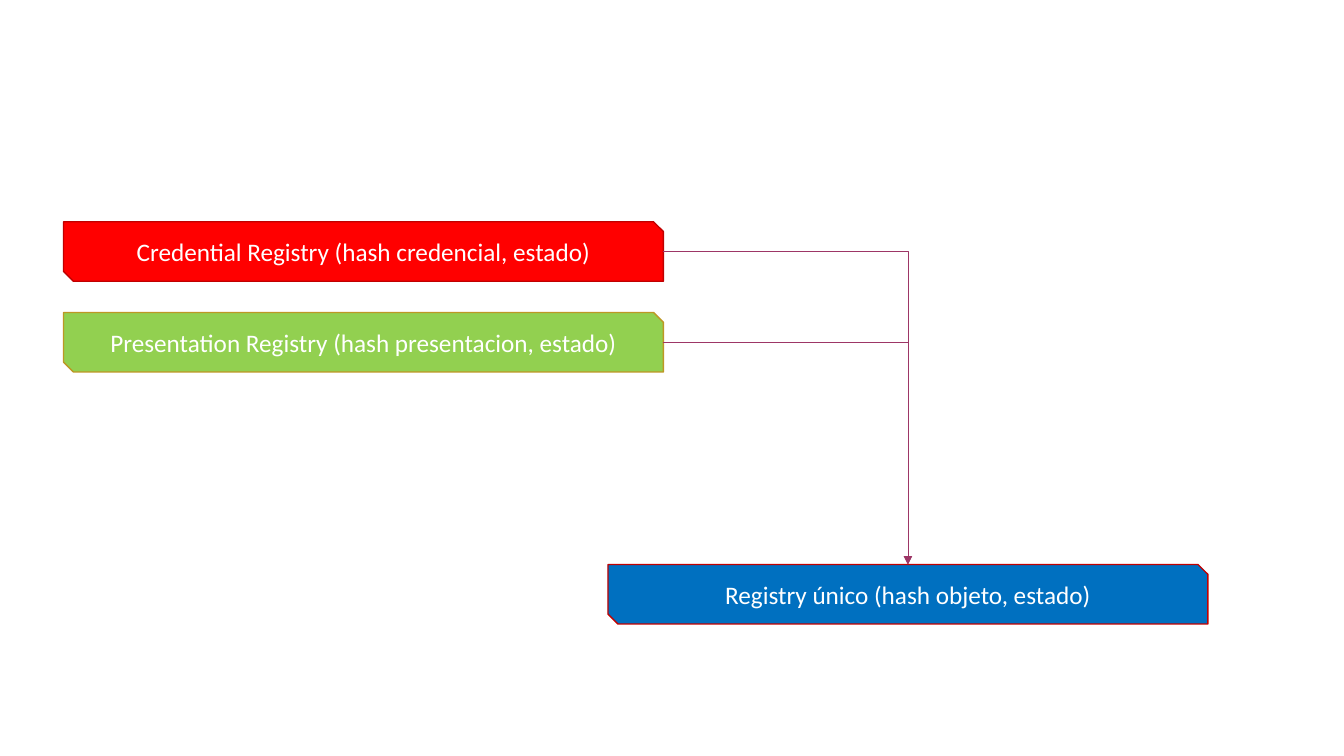
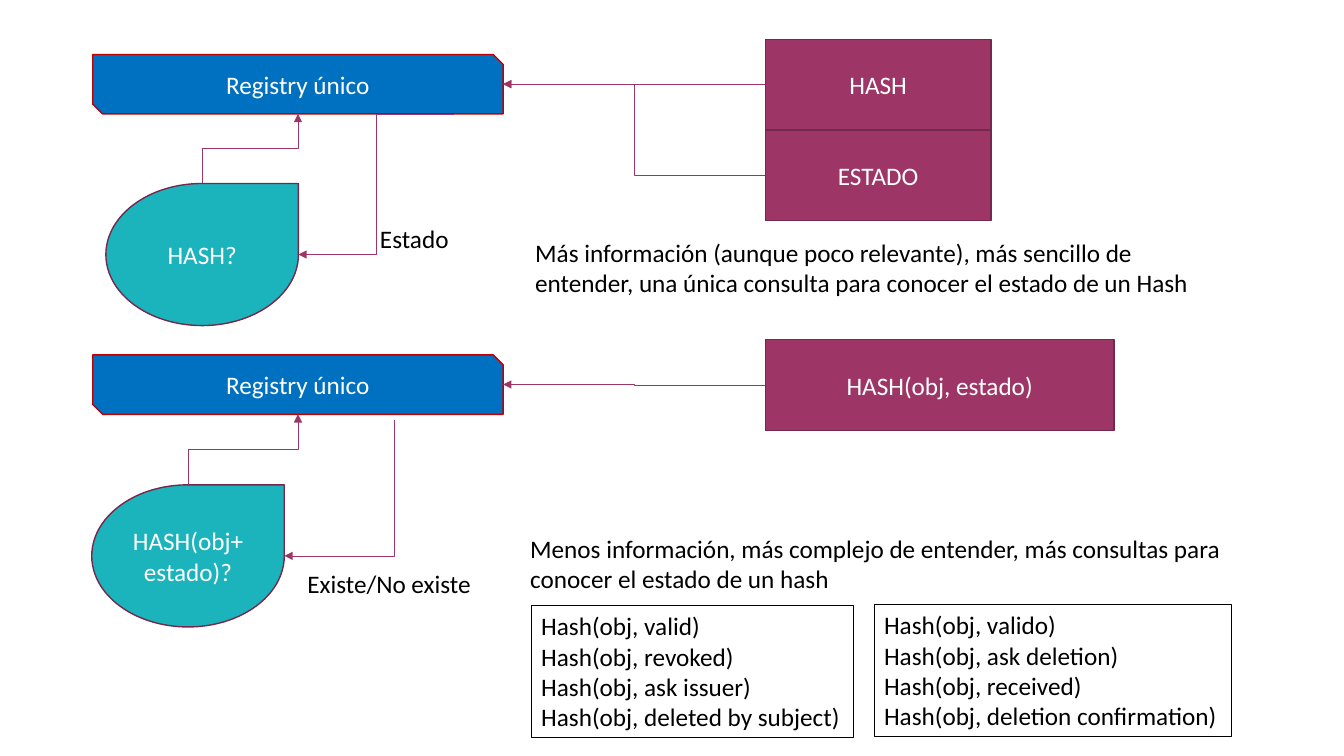
from dataclasses import dataclass

from lxml import etree
from pptx import Presentation
from pptx.dml.color import RGBColor
from pptx.enum.shapes import MSO_CONNECTOR, MSO_SHAPE
from pptx.enum.text import MSO_ANCHOR, MSO_AUTO_SIZE, PP_ALIGN
from pptx.oxml.ns import qn
from pptx.util import Inches, Pt

SNIPPED = MSO_SHAPE.SNIP_2_DIAG_RECTANGLE
RECTANGLE = MSO_SHAPE.RECTANGLE
TEARDROP = MSO_SHAPE.TEAR
ELBOW = MSO_CONNECTOR.ELBOW
CENTER = PP_ALIGN.CENTER
MIDDLE = MSO_ANCHOR.MIDDLE
FIT_SHAPE = MSO_AUTO_SIZE.SHAPE_TO_FIT_TEXT

REGISTRY_HEIGHT = 0.59
FIELD_HEIGHT = 0.9


@dataclass(frozen=True)
class Theme:
    font: str = "Calibri"
    text_size: int = 18
    shape_line: float = 1
    list_line: float = 0.75
    arrow_line: float = 0.5
    white: str = "FFFFFF"
    black: str = "000000"
    red: str = "FF0000"
    dark_red: str = "C00000"
    green: str = "92D050"
    gold: str = "BD9724"
    blue: str = "0070C0"
    plum: str = "9D3666"
    dark_plum: str = "74284B"
    teal: str = "1BB3BC"


@dataclass(frozen=True)
class Area:
    """A rectangle on the page, in inches."""
    left: float
    top: float
    width: float
    height: float

    def lengths(self):
        return [Inches(n) for n in (self.left, self.top, self.width, self.height)]

    @property
    def top_middle(self):
        return self.left + self.width / 2, self.top

    @property
    def bottom_middle(self):
        return self.left + self.width / 2, self.top + self.height

    @property
    def left_middle(self):
        return self.left, self.top + self.height / 2

    @property
    def right_middle(self):
        return self.left + self.width, self.top + self.height / 2


class Sketch:
    def __init__(self, theme):
        self.theme = theme
        self.deck = Presentation()
        self.deck.slide_width = Inches(13.33)
        self.deck.slide_height = Inches(7.5)
        self.page = None

    def new_page(self):
        blank = self.deck.slide_layouts.get_by_name("Blank")
        self.page = self.deck.slides.add_slide(blank)

    def set_text(self, frame, text, color, align=None):
        frame.text = text
        for para in frame.paragraphs:
            para.alignment = align
            for span in para.runs:
                span.font.name = self.theme.font
                span.font.size = Pt(self.theme.text_size)
                span.font.color.rgb = RGBColor.from_string(color)

    def block(self, kind, area, text, fill, line):
        shape = self.page.shapes.add_shape(kind, *area.lengths())
        shape.shadow.inherit = False
        shape.fill.solid()
        shape.fill.fore_color.rgb = RGBColor.from_string(fill)
        shape.line.color.rgb = RGBColor.from_string(line)
        shape.line.width = Pt(self.theme.shape_line)
        shape.text_frame.word_wrap = True
        shape.text_frame.vertical_anchor = MIDDLE
        self.set_text(shape.text_frame, text, self.theme.white, CENTER)

    def registry(self, area, text):
        self.block(SNIPPED, area, text, self.theme.blue, self.theme.dark_red)

    def label(self, area, text, wrap=False):
        box = self.page.shapes.add_textbox(*area.lengths())
        box.text_frame.word_wrap = wrap
        box.text_frame.auto_size = FIT_SHAPE
        self.set_text(box.text_frame, text, self.theme.black)
        return box

    def framed_list(self, area, items):
        box = self.label(area, "\n".join(items))
        box.line.color.rgb = RGBColor.from_string(self.theme.black)
        box.line.width = Pt(self.theme.list_line)

    def arrow(self, start, end, single_turn=False, vertical=False):
        """Draw an elbow arrow; a vertical one leaves its start up or down."""
        (x1, y1), (x2, y2) = start, end
        if vertical:
            # Lay the route on its side about its centre, then turn it by 90°.
            x, y = (x1 + x2) / 2, (y1 + y2) / 2
            across, down = (x2 - x1) / 2, (y2 - y1) / 2
            x1, y1, x2, y2 = x - down, y + across, x + down, y - across
        connector = self.page.shapes.add_connector(
            ELBOW, *[Inches(n) for n in (x1, y1, x2, y2)])
        connector.line.color.rgb = RGBColor.from_string(self.theme.plum)
        connector.line.width = Pt(self.theme.arrow_line)
        properties = connector._element.spPr
        if vertical:
            properties.find(qn("a:xfrm")).set("rot", str(90 * 60000))
        if single_turn:
            properties.find(qn("a:prstGeom")).set("prst", "bentConnector2")
        line = properties.find(qn("a:ln"))
        etree.SubElement(line, qn("a:tailEnd"), type="triangle")
        etree.SubElement(properties, qn("a:effectLst"))

    def lookup(self, registry, drop, question, fields):
        """Draw a registry, the fields it stores and the question put to it."""
        theme = self.theme
        self.registry(registry, "Registry único")
        for area, text in fields:
            self.block(RECTANGLE, area, text, theme.plum, theme.dark_plum)
            self.arrow(area.left_middle, registry.right_middle)
        self.block(TEARDROP, drop, question, theme.teal, theme.dark_plum)
        self.arrow(drop.top_middle, registry.bottom_middle, vertical=True)


def merge_page(sketch):
    theme = sketch.theme
    single = Area(6.03, 5.6, 5.95, REGISTRY_HEIGHT)
    sketch.registry(single, "Registry único (hash objeto, estado)")
    sources = [
        (2.2, "Credential Registry (hash credencial, estado)", theme.red, theme.dark_red),
        (3.1, "Presentation Registry (hash presentacion, estado)", theme.green, theme.gold),
    ]
    for top, text, fill, line in sources:
        area = Area(0.63, top, 5.95, REGISTRY_HEIGHT)
        sketch.block(SNIPPED, area, text, fill, line)
        sketch.arrow(area.right_middle, single.top_middle, single_turn=True)


def comparison_page(sketch):
    registry = Area(0.92, 0.54, 4.07, REGISTRY_HEIGHT)
    drop = Area(1.05, 1.82, 1.91, 1.41)
    fields = [(Area(7.59, 0.39 + row * FIELD_HEIGHT, 2.24, FIELD_HEIGHT), text)
              for row, text in enumerate(["HASH", "ESTADO"])]
    sketch.lookup(registry, drop, "HASH?", fields)
    sketch.arrow((4.5, 1.13), drop.right_middle)
    sketch.label(Area(3.67, 2.17, 0.89, 0.4), "Estado")
    sketch.label(Area(5.21, 2.3, 7.05, 0.71),
                 "Más información (aunque poco relevante), más sencillo de entender, "
                 "una única consulta para conocer el estado de un Hash", wrap=True)

    registry = Area(0.92, 3.52, 4.07, REGISTRY_HEIGHT)
    drop = Area(0.91, 4.81, 1.91, 1.41)
    fields = [(Area(7.59, 3.37, 3.46, FIELD_HEIGHT), "HASH(obj, estado)")]
    sketch.lookup(registry, drop, "HASH(obj+estado)?", fields)
    sketch.arrow((3.91, 4.17), drop.right_middle, single_turn=True, vertical=True)
    sketch.label(Area(2.95, 5.59, 1.84, 0.4), "Existe/No existe")
    sketch.label(Area(5.16, 5.24, 7.05, 0.71),
                 "Menos información, más complejo de entender, más consultas para "
                 "conocer el estado de un hash", wrap=True)
    sketch.framed_list(Area(5.27, 6.01, 3.2, 1.31), [
        "Hash(obj, valid)", "Hash(obj, revoked)",
        "Hash(obj, ask issuer)", "Hash(obj, deleted by subject)"])
    sketch.framed_list(Area(8.67, 6, 3.54, 1.31), [
        "Hash(obj, valido)", "Hash(obj, ask deletion)",
        "Hash(obj, received)", "Hash(obj, deletion confirmation)"])


def main():
    sketch = Sketch(Theme())
    for draw in (merge_page, comparison_page):
        sketch.new_page()
        draw(sketch)
    sketch.deck.save("out.pptx")


if __name__ == "__main__":
    main()
